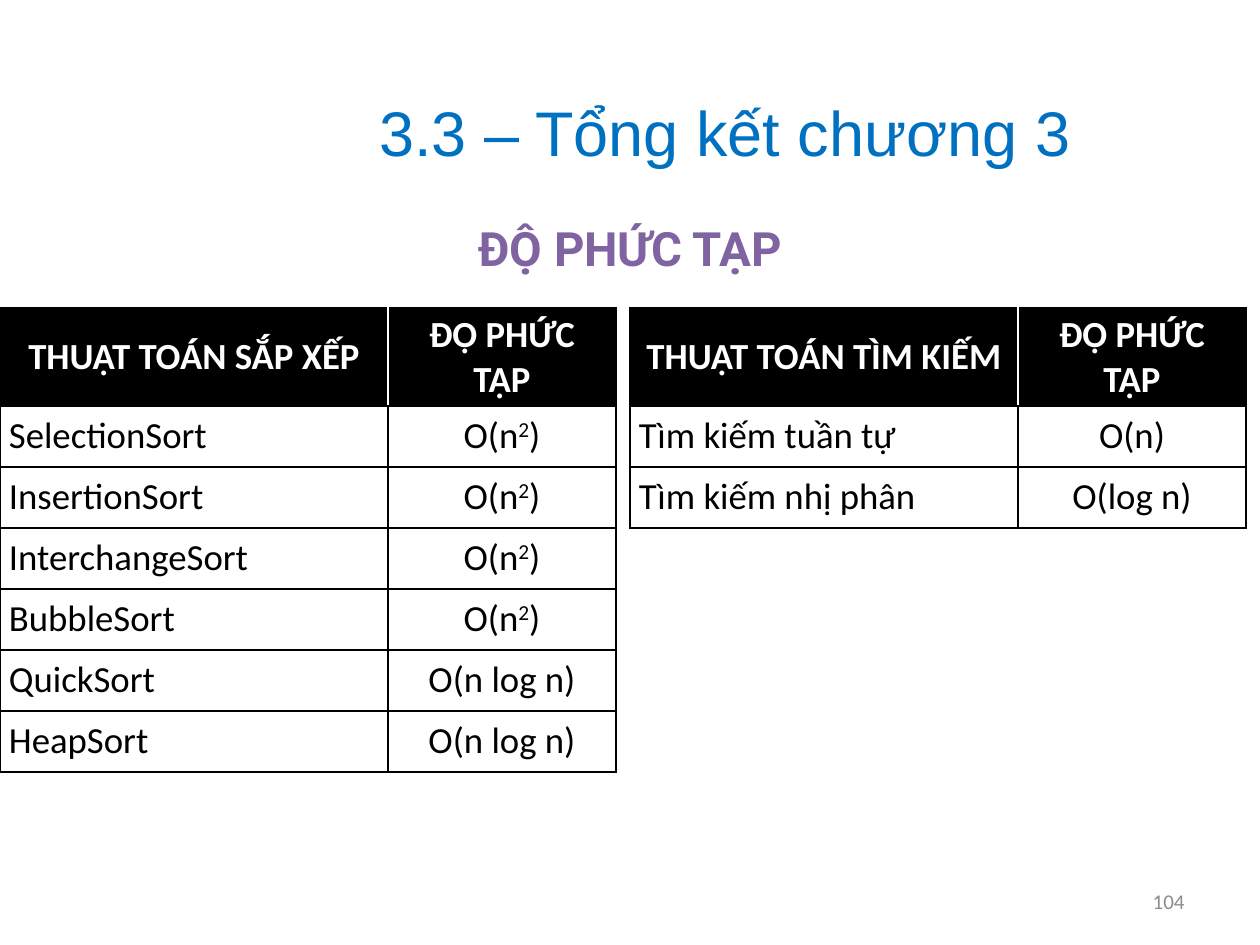
from dataclasses import dataclass

from lxml.etree import SubElement
from pptx import Presentation
from pptx.dml.color import RGBColor as RGB
from pptx.enum.text import MSO_ANCHOR as Anchor, PP_ALIGN as Align
from pptx.oxml.ns import qn
from pptx.util import Cm, Pt


@dataclass(frozen=True)
class Theme:
    black: str = "000000"
    white: str = "FFFFFF"
    blue: str = "0070C0"
    purple: str = "8064A2"
    gray: str = "8C8C8C"
    body_font: str = "Calibri"
    chapter_font: str = "Arial"
    title_font: str = "Roboto"
    chapter_size: int = 36
    title_size: int = 27
    table_size: int = 21
    number_size: int = 12


T = Theme()
COL_WIDTHS = (7.82, 4.6)
HEADER_HEIGHT, ROW_HEIGHT = 1.98, 1.23
COMPLEXITY = "ĐỘ PHỨC TẠP"
SORTS = [
    ("THUẬT TOÁN SẮP XẾP", COMPLEXITY),
    ("SelectionSort", "O(n^2)"),
    ("InsertionSort", "O(n^2)"),
    ("InterchangeSort", "O(n^2)"),
    ("BubbleSort", "O(n^2)"),
    ("QuickSort", "O(n log n)"),
    ("HeapSort", "O(n log n)"),
]
SEARCHES = [
    ("THUẬT TOÁN TÌM KIẾM", COMPLEXITY),
    ("Tìm kiếm tuần tự", "O(n)"),
    ("Tìm kiếm nhị phân", "O(log n)"),
]


def write(tf, text, *, size, font=T.body_font, color=T.black, bold=False, align=Align.LEFT):
    p = tf.paragraphs[0]
    p.alignment = align
    base, caret, rest = text.partition("^")
    parts = [(base, False), (rest[:1], True), (rest[1:], False)] if caret else [(text, False)]
    for part, raised in parts:
        r = p.add_run()
        r.text = part
        r.font.size, r.font.name, r.font.bold = Pt(size), font, bold
        r.font.color.rgb = RGB.from_string(color)
        if raised:
            r.font._element.set("baseline", "30000")


def place(sp, left, top, width, height):
    sp.left, sp.top, sp.width, sp.height = Cm(left), Cm(top), Cm(width), Cm(height)


def set_borders(cell, **colors):
    tc_pr = cell._tc.get_or_add_tcPr()
    for side in "LRTB":
        ln = SubElement(tc_pr, qn(f"a:ln{side}"), w=str(Pt(1)))
        fill = SubElement(ln, qn("a:solidFill"))
        SubElement(fill, qn("a:srgbClr"), val=colors.get(side, T.black))


def add_text(s, box, text, **fmt):
    sp = s.shapes.add_textbox(*map(Cm, box))
    tf = sp.text_frame
    tf.word_wrap = True
    tf.vertical_anchor = Anchor.MIDDLE
    write(tf, text, **fmt)


def add_title(s, box, text):
    sp = s.shapes.title
    place(sp, *box)
    sp.text_frame.vertical_anchor = Anchor.MIDDLE
    write(sp.text_frame, text, size=T.title_size, font=T.title_font,
          color=T.purple, bold=True, align=Align.CENTER)


def add_complexity_table(s, left, top, rows):
    height = HEADER_HEIGHT + ROW_HEIGHT * (len(rows) - 1)
    table = s.shapes.add_table(len(rows), len(COL_WIDTHS), Cm(left), Cm(top),
                               Cm(sum(COL_WIDTHS)), Cm(height)).table
    table.first_row = table.horz_banding = False
    for col, width in zip(table.columns, COL_WIDTHS):
        col.width = Cm(width)
    for i, values in enumerate(rows):
        header = i == 0
        table.rows[i].height = Cm(HEADER_HEIGHT if header else ROW_HEIGHT)
        for j, value in enumerate(values):
            cell = table.cell(i, j)
            set_borders(cell, **({"LR"[1 - j]: T.white} if header else {}))
            cell.fill.solid()
            cell.fill.fore_color.rgb = RGB.from_string(T.black if header else T.white)
            cell.vertical_anchor = Anchor.MIDDLE
            cell.margin_left = cell.margin_right = Cm(0.18)
            cell.margin_top = cell.margin_bottom = Cm(0.1)
            write(cell.text_frame, value, size=T.table_size, bold=header,
                  color=T.white if header else T.black,
                  align=Align.CENTER if header or j else Align.LEFT)


def main():
    prs = Presentation()
    prs.slide_width, prs.slide_height = Cm(25.4), Cm(19.05)
    s = prs.slides.add_slide(prs.slide_layouts[5])
    add_text(s, (18.21, 17.65, 5.92, 1.02), "104", size=T.number_size,
             color=T.gray, align=Align.RIGHT)
    add_complexity_table(s, 0, 6.2, SORTS)
    add_complexity_table(s, 12.7, 6.2, SEARCHES)
    add_title(s, (0, 4.01, 25.4, 1.98), COMPLEXITY)
    add_text(s, (5.51, 1.27, 18.21, 2.74), "3.3 – Tổng kết chương 3",
             size=T.chapter_size, font=T.chapter_font, color=T.blue, align=Align.CENTER)
    prs.save("out.pptx")


if __name__ == "__main__":
    main()
